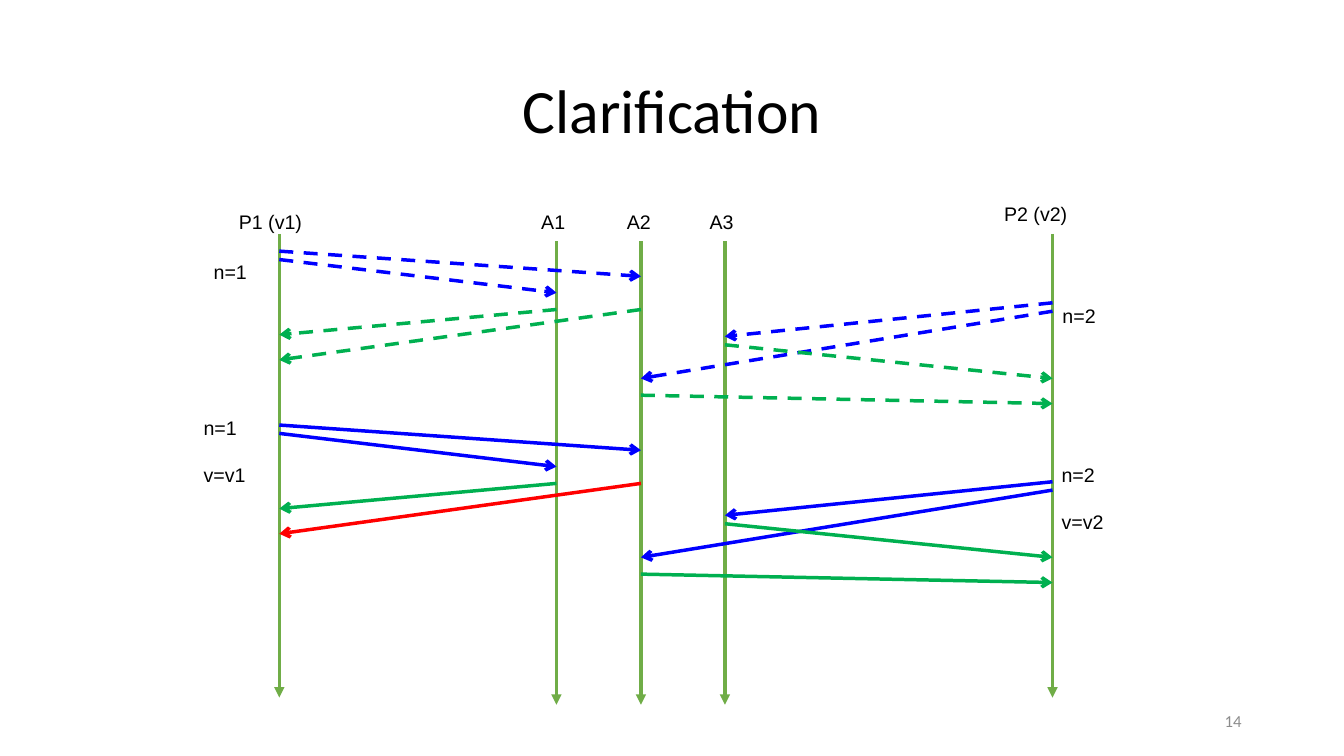
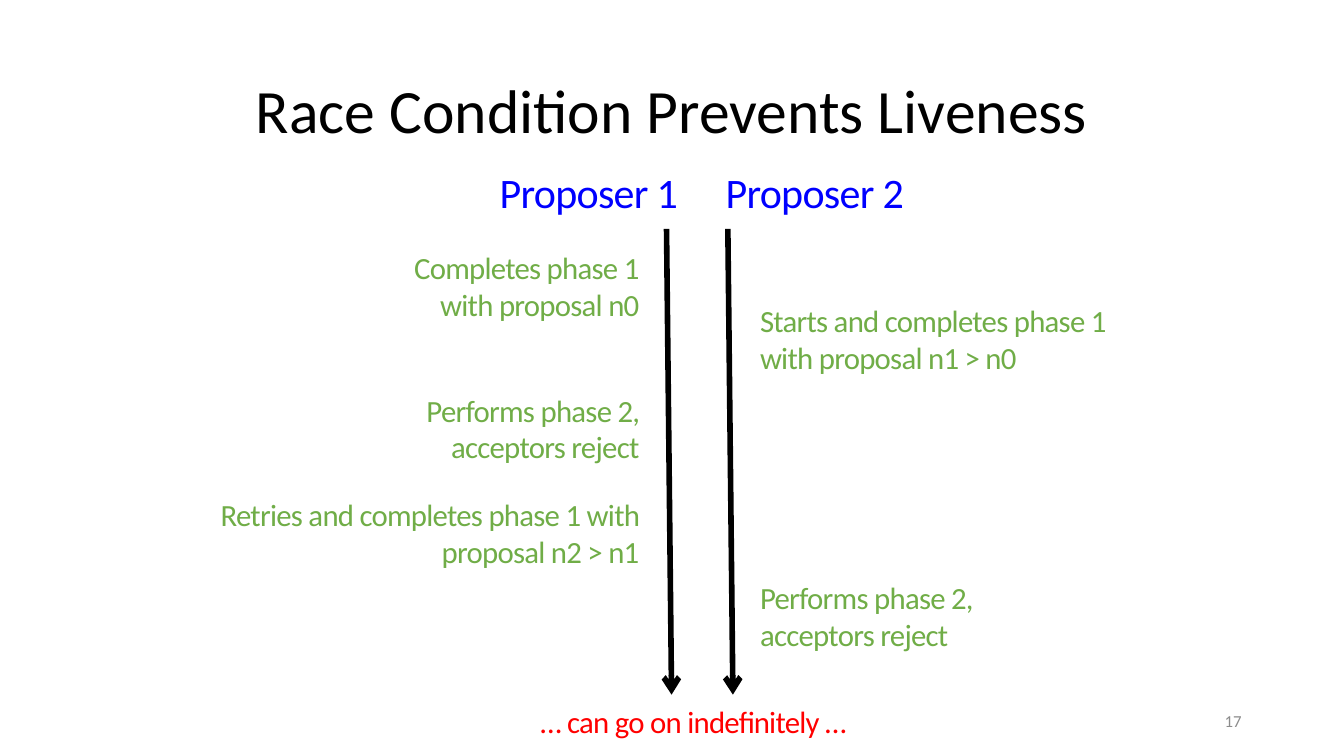
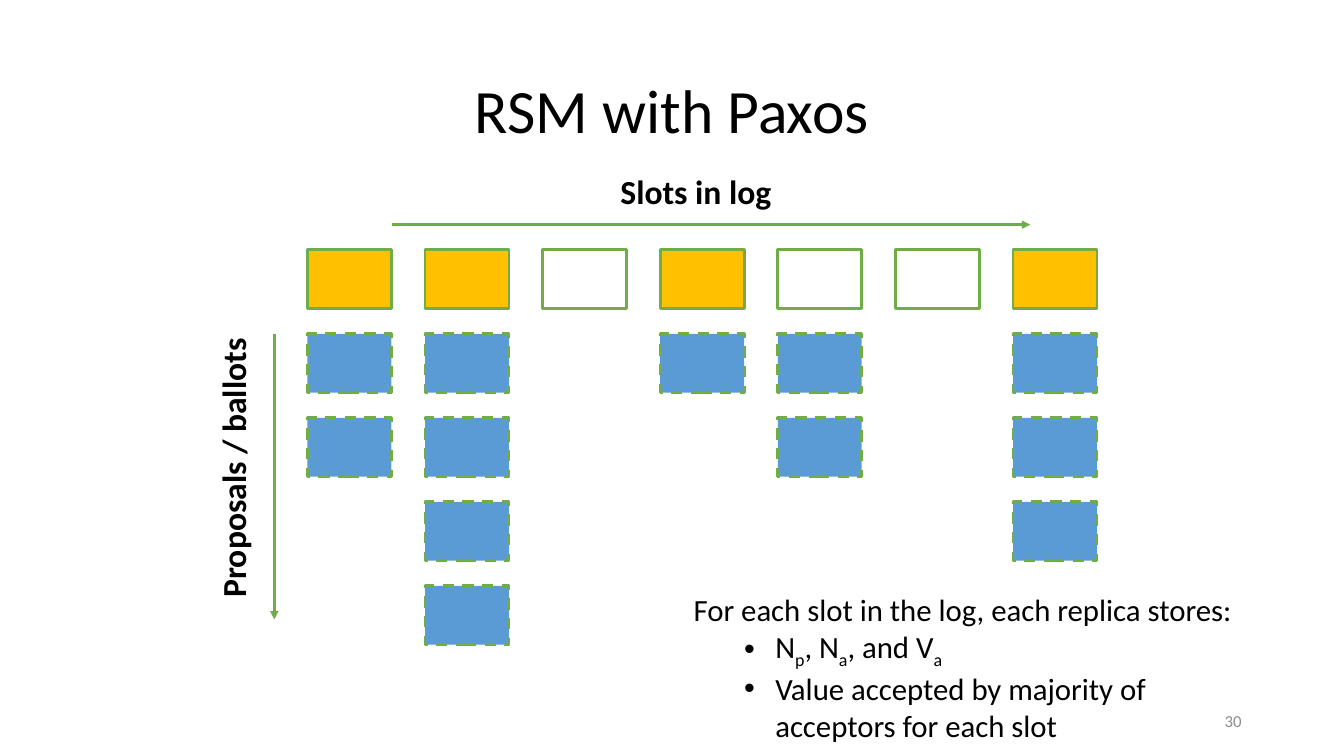
from lxml.etree import SubElement
from pptx import Presentation
from pptx.dml.color import RGBColor
from pptx.enum.dml import MSO_LINE
from pptx.enum.shapes import MSO_CONNECTOR, MSO_SHAPE
from pptx.enum.text import MSO_ANCHOR, PP_ALIGN
from pptx.oxml.ns import qn
from pptx.util import Inches, Pt

BLACK = RGBColor(0x00, 0x00, 0x00)
GRAY = RGBColor(0x8C, 0x8C, 0x8C)
BLUE = RGBColor(0x00, 0x00, 0xFF)
RED = RGBColor(0xFF, 0x00, 0x00)
GREEN = RGBColor(0x00, 0xB0, 0x50)
LEAF = RGBColor(0x70, 0xAD, 0x47)
AMBER = RGBColor(0xFF, 0xC0, 0x00)
SKY = RGBColor(0x5B, 0x9B, 0xD5)

COLUMNS, ROWS = 160, 90
LEFT, CENTER, RIGHT = PP_ALIGN.LEFT, PP_ALIGN.CENTER, PP_ALIGN.RIGHT


class Deck:
    """Shared style and the current page, measured on a grid of 160 by 90."""

    def __init__(self):
        """Open an empty widescreen deck."""
        self.deck = Presentation()
        self.deck.slide_width, self.deck.slide_height = Inches(13.33), Inches(7.5)
        self.page = None

    def across(self, columns):
        """Turn grid columns into a length."""
        return int(self.deck.slide_width * columns / COLUMNS)

    def down(self, rows):
        """Turn grid rows into a length."""
        return int(self.deck.slide_height * rows / ROWS)

    def place(self, left, top, width, height):
        """Turn a grid cell range into a position and a size."""
        return self.across(left), self.down(top), self.across(width), self.down(height)

    def new_page(self, title, number):
        """Add a page with its title and page number."""
        self.page = self.deck.slides.add_slide(self.deck.slide_layouts[6])
        heading = self.text(title, 11, 4.8, 138, 17.4, 44, align=CENTER, anchor=MSO_ANCHOR.MIDDLE)
        heading.text_frame.paragraphs[0].line_spacing = 0.9
        self.text(str(number), 113, 83.4, 36, 4.8, 12, GRAY, RIGHT, MSO_ANCHOR.MIDDLE)

    def text(self, words, left, top, width, height, size, color=BLACK, align=LEFT,
             anchor=MSO_ANCHOR.TOP, font="Calibri", bold=False, wrap=True):
        """Add a text box in one style."""
        box = self.page.shapes.add_textbox(*self.place(left, top, width, height))
        frame = box.text_frame
        frame.word_wrap, frame.vertical_anchor = wrap, anchor
        frame.text = words
        for para in frame.paragraphs:
            para.alignment = align
            for span in para.runs:
                self.style(span, size, color, font, bold)
        return box

    def style(self, span, size, color=BLACK, font="Calibri", bold=False):
        """Format one run."""
        span.font.size, span.font.name, span.font.bold = Pt(size), font, bold
        span.font.color.rgb = color

    def label(self, words, left, top, width, height=6):
        """Add a small diagram label resting on the bottom of its box."""
        box = self.text(words, left, top, width, height, 14, anchor=MSO_ANCHOR.BOTTOM,
                        font="Arial", wrap=False)
        box.text_frame.margin_bottom = 0
        for para in box.text_frame.paragraphs[1:]:
            para.space_before = Pt(16.5)

    def event(self, words, left, top, width, height, align, size=22, color=LEAF):
        """Add a tightly spaced note with narrow margins."""
        box = self.text(words, left, top, width, height, size, color, align)
        frame = box.text_frame
        frame.margin_left = frame.margin_right = Inches(0.04)
        frame.margin_top = frame.margin_bottom = Inches(0.04)
        for span in frame.paragraphs[0].runs:
            span.font._element.set("spc", "-50")

    def bullet(self, para, size):
        """Turn a paragraph into a bullet, with parts between underscores lowered."""
        parts = para.text.split("_")
        para.text = ""
        para.level = 1
        properties = para._p.get_or_add_pPr()
        properties.set("marL", str(Inches(0.81)))
        properties.set("indent", str(Inches(-0.31)))
        SubElement(properties, qn("a:buFont")).set("typeface", "Arial")
        SubElement(properties, qn("a:buChar")).set("char", "•")
        for index, part in enumerate(parts):
            span = para.add_run()
            span.text = part
            self.style(span, size)
            if index % 2:
                span.font._element.set("baseline", "-25000")

    def arrow(self, start, end, color, weight, head="arrow", dashed=False):
        """Add a straight arrow between two grid points."""
        line = self.page.shapes.add_connector(
            MSO_CONNECTOR.STRAIGHT, self.across(start[0]), self.down(start[1]),
            self.across(end[0]), self.down(end[1]))
        line.line.color.rgb, line.line.width = color, Pt(weight)
        if dashed:
            line.line.dash_style = MSO_LINE.DASH
        SubElement(line.line._get_or_add_ln(), qn("a:tailEnd")).set("type", head)
        SubElement(line._element.spPr, qn("a:effectLst"))

    def cell(self, left, top, fill=None, dashed=False):
        """Add one log cell."""
        box = self.page.shapes.add_shape(MSO_SHAPE.RECTANGLE, *self.place(left, top, 10, 7))
        box.shadow.inherit = False
        if fill is None:
            box.fill.background()
        else:
            box.fill.solid()
            box.fill.fore_color.rgb = fill
        box.line.color.rgb, box.line.width = LEAF, Pt(2)
        if dashed:
            box.line.dash_style = MSO_LINE.DASH


def clarification(deck):
    """Draw the message exchange of two proposers and three acceptors."""
    deck.new_page("Clarification", 14)
    lanes = {"P1": 33.25, "A1": 66.25, "A2": 76.3, "A3": 86.3, "P2": 125.3}
    for name, column in lanes.items():
        top = 27.85 if name.startswith("P") else 28.7
        deck.arrow((column, top), (column, top + 55.2), LEAF, 2.5, "triangle")
    deck.label("P1 (v1)", 27.25, 21.85, 14)
    deck.label("P2 (v2)", 118.35, 20.85, 14)
    for name, left in (("A1", 63.25), ("A2", 73.45), ("A3", 83.3)):
        deck.label(name, left, 21.85, 7)

    messages = [
        ("P1", 29.9, "A2", 32.9, BLUE, BLUE), ("P1", 30.9, "A1", 34.85, BLUE, BLUE),
        ("A2", 36.85, "P1", 42.85, GREEN, RED), ("A1", 36.85, "P1", 39.85, GREEN, GREEN),
        ("P2", 37.05, "A2", 45.05, BLUE, BLUE), ("P2", 36.05, "A3", 40.05, BLUE, BLUE),
        ("A3", 41.05, "P2", 45.05, GREEN, GREEN), ("A2", 47.05, "P2", 48.05, GREEN, GREEN),
    ]
    for phase in range(2):
        for sender, sent, receiver, received, *colors in messages:
            shift = phase * (20.7 if "P1" in (sender, receiver) else 21.3)
            deck.arrow((lanes[sender], sent + shift), (lanes[receiver], received + shift),
                       colors[phase], 2.5, dashed=phase == 0)

    deck.label("n=1", 24.25, 27.7, 9.5)
    deck.label("n=1\nv=v1", 23.05, 46.9, 10.8, 11)
    deck.label("n=2", 125.3, 33, 9.5)
    deck.label("n=2\nv=v2", 125.2, 52.5, 10.3, 11)


def race_condition(deck):
    """Draw two proposers that keep overtaking each other."""
    deck.new_page("Race Condition Prevents Liveness", 17)
    for name, heading, column in (("Proposer 1", 53.05, 79.35), ("Proposer 2", 79.95, 86.65)):
        deck.event(name, heading, 19.3, 34.1, 7.7, CENTER, 30, BLUE)
        deck.arrow((column, 27.25), (column + 0.6, 82.7), BLACK, 4)
    edge = 76.6
    for words, top, width in (
            ("Completes phase 1\vwith proposal n0", 29.15, 35.6),
            ("Performs phase 2, acceptors reject", 46.1, 35.6),
            ("Retries and completes phase 1 with proposal n2 > n1", 58.55, 51.25)):
        deck.event(words, edge - width, top, width, 12, RIGHT)
    for words, top, width in (
            ("Starts and completes phase 1 with proposal n1 > n0", 35.5, 47),
            ("Performs phase 2, acceptors reject", 68.4, 35.6)):
        deck.event(words, 90, top, width, 12, LEFT)
    deck.event("… can go on indefinitely …", 56.8, 83.15, 51.5, 5.4, CENTER, color=RED)


def replicated_log(deck):
    """Draw the log slots with the ballots held for each."""
    deck.new_page("RSM with Paxos", 30)
    slots = [(AMBER, 2), (AMBER, 4), (None, 0), (AMBER, 1), (None, 2), (None, 0), (AMBER, 3)]
    for index, (fill, ballots) in enumerate(slots):
        left = 36.6 + 14 * index
        deck.cell(left, 29.75, fill)
        for ballot in range(ballots):
            deck.cell(left, 39.75 + 10 * ballot, SKY, dashed=True)
    deck.arrow((46.65, 26.75), (122.65, 26.75), LEAF, 2, "triangle")
    deck.arrow((32.65, 39.75), (32.65, 73.75), LEAF, 2, "triangle")
    deck.text("Slots in log", 72.6, 19.8, 20.5, 6, 24, align=CENTER, bold=True, wrap=False)
    axis = deck.text("Proposals / ballots", 10.9, 52.7, 33.6, 6, 24, align=CENTER, bold=True,
                     wrap=False)
    axis.rotation = 270
    notes = deck.text("For each slot in the log, each replica stores:\n"
                      "N_p_, N_a_, and V_a\n"
                      "Value accepted by majority of acceptors for each slot",
                      81.4, 69.75, 69.25, 19, 22)
    for para in notes.text_frame.paragraphs[1:]:
        deck.bullet(para, 22)


def main():
    """Build and save the deck."""
    deck = Deck()
    clarification(deck)
    race_condition(deck)
    replicated_log(deck)
    deck.deck.save("out.pptx")


if __name__ == "__main__":
    main()
